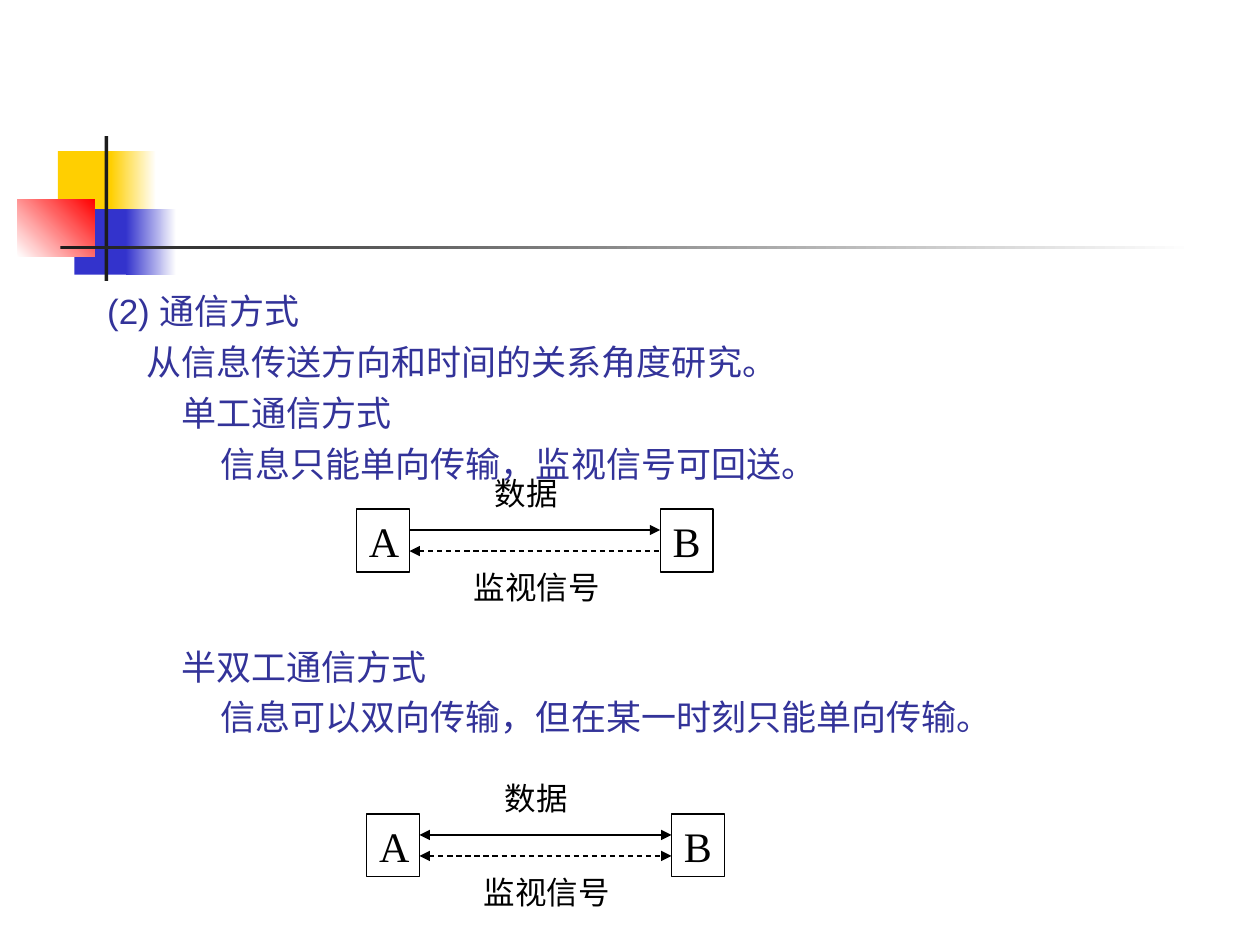
from dataclasses import dataclass

from lxml.etree import SubElement
from pptx import Presentation
from pptx.dml.color import RGBColor
from pptx.enum.dml import MSO_LINE
from pptx.enum.shapes import MSO_CONNECTOR, MSO_SHAPE
from pptx.enum.text import MSO_ANCHOR, PP_ALIGN
from pptx.oxml.ns import qn
from pptx.util import Inches, Pt


@dataclass(frozen=True)
class Theme:
    """Colours, fonts and type sizes of the deck."""
    yellow: str = "FFCF01"
    blue: str = "3333CC"
    red: str = "FF0000"
    bar: str = "1C1C1C"
    white: str = "FFFFFF"
    heading: str = "333399"
    ink: str = "000000"
    body_font: str = "Arial"
    diagram_font: str = "Times New Roman"
    body_size: int = 20
    node_size: int = 24
    label_size: int = 18


THEME = Theme()
DECORATION = [
    (0.46, 1.2, 0.48, 0.52, THEME.yellow, None, 0),
    (0.88, 1.2, 0.36, 0.52, THEME.yellow, THEME.white, 0),
    (0.59, 1.66, 0.46, 0.52, THEME.blue, None, 0),
    (1, 1.66, 0.4, 0.52, THEME.blue, THEME.white, 0),
    (0.14, 1.58, 0.61, 0.46, THEME.white, THEME.red, 45),
    (0.83, 1.08, 0.03, 1.15, THEME.bar, None, 0),
    (0.48, 1.95, 9, 0.03, THEME.bar, THEME.white, 0),
]
BODY_LINES = [
    ("(2) 通信方式", 0, 0.31, -0.31, 5),
    ("从信息传送方向和时间的关系角度研究。", 0, 0.31, 0, 5),
    ("单工通信方式", 1, 0.9, -0.31, 5),
    ("信息只能单向传输，监视信号可回送。", 1, 0.9, 0, 5),
    ("半双工通信方式", 1, 0.9, -0.31, 92),
    ("信息可以双向传输，但在某一时刻只能单向传输。", 1, 0.9, 0, 5),
]


def style_paragraph(para, font_name, size, color):
    """Set the font and left alignment of a paragraph."""
    para.alignment = PP_ALIGN.LEFT
    para.font.name = font_name
    para.font.size = Pt(size)
    para.font.color.rgb = RGBColor.from_string(color)


def add_decoration(page):
    """Draw the coloured squares and crossing bars."""
    for left, top, width, height, start, end, angle in DECORATION:
        block = page.shapes.add_shape(
            MSO_SHAPE.RECTANGLE, Inches(left), Inches(top), Inches(width), Inches(height))
        block.shadow.inherit = False
        block.line.fill.background()
        if end is None:
            block.fill.solid()
            block.fill.fore_color.rgb = RGBColor.from_string(start)
            continue
        block.fill.gradient()
        block.fill.gradient_angle = angle
        for stop, color, position in zip(block.fill.gradient_stops, (start, end), (0, 1)):
            stop.color.rgb = RGBColor.from_string(color)
            stop.position = position


def fill_body(body, left, top, width, height):
    """Place the body placeholder and write its indented lines."""
    body.left, body.top = Inches(left), Inches(top)
    body.width, body.height = Inches(width), Inches(height)
    frame = body.text_frame
    frame.vertical_anchor = MSO_ANCHOR.TOP
    for number, (text, level, margin, indent, space) in enumerate(BODY_LINES):
        para = frame.add_paragraph() if number else frame.paragraphs[0]
        para.text = text
        para.level = level
        para.space_before = Pt(space)
        properties = para._p.get_or_add_pPr()
        properties.set("marL", str(Inches(margin)))
        properties.set("indent", str(Inches(indent)))
        SubElement(properties, qn("a:buNone"))
        style_paragraph(para, THEME.body_font, THEME.body_size, THEME.heading)


def add_node(page, text, left, top, width, height):
    """Draw one outlined station with its letter."""
    node = page.shapes.add_shape(
        MSO_SHAPE.RECTANGLE, Inches(left), Inches(top), Inches(width), Inches(height))
    node.shadow.inherit = False
    node.fill.background()
    node.line.color.rgb = RGBColor.from_string(THEME.ink)
    node.line.width = Pt(0.75)
    frame = node.text_frame
    frame.vertical_anchor = MSO_ANCHOR.TOP
    frame.text = text
    style_paragraph(frame.paragraphs[0], THEME.diagram_font, THEME.node_size, THEME.ink)


def add_label(page, text, left, top, width, height):
    """Write one caption of a channel."""
    label = page.shapes.add_textbox(Inches(left), Inches(top), Inches(width), Inches(height))
    frame = label.text_frame
    frame.word_wrap = True
    frame.text = text
    style_paragraph(frame.paragraphs[0], THEME.diagram_font, THEME.label_size, THEME.ink)


def add_channel(page, start, end, top, arrow_ends, dashed=False):
    """Draw one horizontal channel with the given arrowheads."""
    channel = page.shapes.add_connector(
        MSO_CONNECTOR.STRAIGHT, Inches(start), Inches(top), Inches(end), Inches(top))
    channel.line.color.rgb = RGBColor.from_string(THEME.ink)
    channel.line.width = Pt(0.75)
    if dashed:
        channel.line.dash_style = MSO_LINE.DASH
    outline = channel.line._get_or_add_ln()
    for arrow_end in arrow_ends:
        SubElement(outline, qn(f"a:{arrow_end}"), type="triangle")
    SubElement(channel._element.spPr, qn("a:effectLst"))


def add_link_diagram(page, left, top, width, height, data_ends, monitor_ends):
    """Draw stations A and B with the data and monitoring channels."""
    node_width = 0.42
    right = left + width - node_width
    add_node(page, "A", left, top, node_width, height)
    add_node(page, "B", right, top, node_width, height)
    add_channel(page, left + node_width, right, top + height / 3, data_ends)
    add_channel(page, left + node_width, right, top + height * 2 / 3, monitor_ends, True)
    add_label(page, "数据", left + 1, top - 0.33, 0.83, 0.4)
    add_label(page, "监视信号", left + 0.83, top + 0.42, 1.25, 0.4)


def main():
    """Build and save the deck."""
    deck = Presentation()
    deck.slide_width, deck.slide_height = Inches(10), Inches(7.5)
    page = deck.slides.add_slide(deck.slide_layouts[1])
    title = page.shapes.title._element
    title.getparent().remove(title)
    add_decoration(page)
    fill_body(page.placeholders[1], 0.75, 2.25, 8.5, 5.25)
    both = ("headEnd", "tailEnd")
    add_link_diagram(page, 2.83, 4.04, 2.83, 0.5, ("tailEnd",), ("headEnd",))
    add_link_diagram(page, 2.91, 6.46, 2.84, 0.5, both, both)
    deck.save("out.pptx")


if __name__ == "__main__":
    main()
